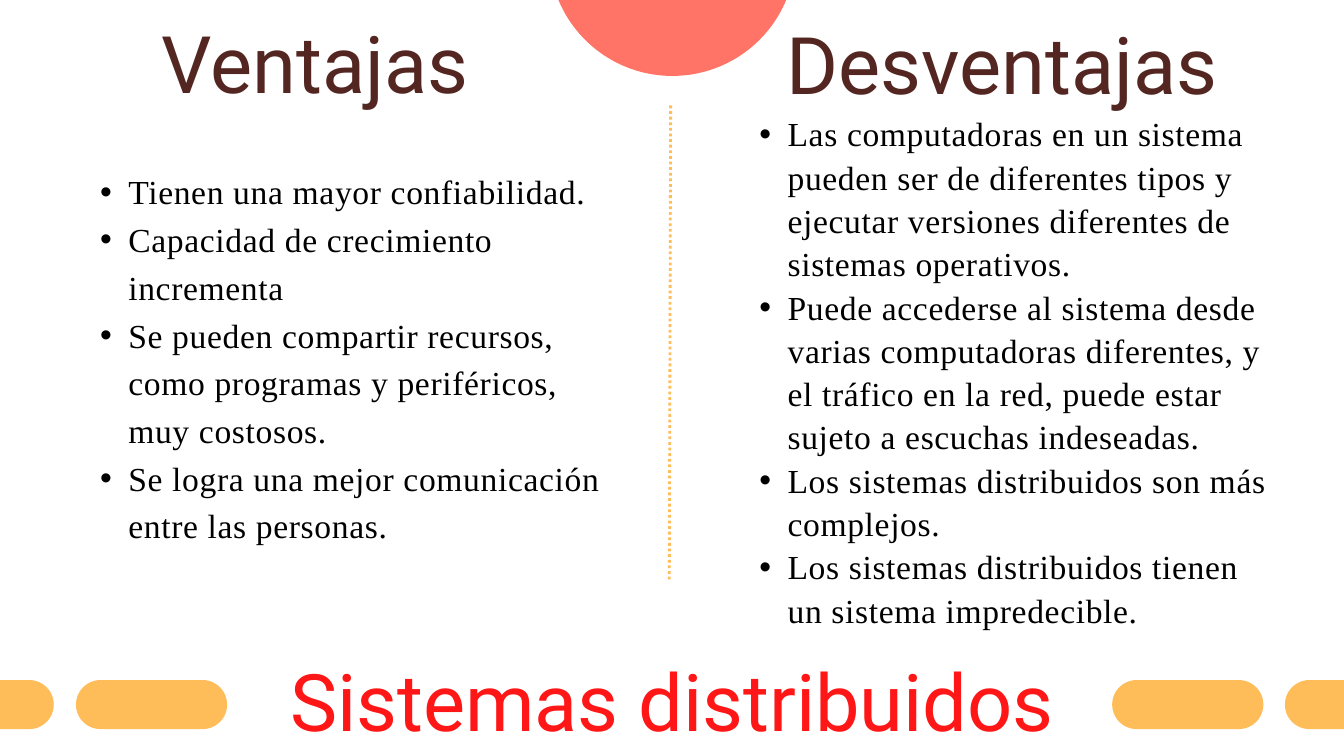
from dataclasses import dataclass

from lxml.etree import SubElement
from pptx import Presentation
from pptx.dml.color import RGBColor
from pptx.enum.dml import MSO_LINE
from pptx.enum.shapes import MSO_CONNECTOR, MSO_SHAPE
from pptx.enum.text import MSO_AUTO_SIZE, PP_ALIGN
from pptx.oxml.ns import qn
from pptx.slide import Slide
from pptx.util import Inches, Pt

COLORS = {
    "background": "FFFFFF",
    "title": "FF1616",
    "heading": "542622",
    "body": "000000",
    "accent": "FFBD59",
    "circle": "FF7466",
}


@dataclass
class Area:
    left: float
    top: float
    width: float
    height: float

    def lengths(self) -> list[Inches]:
        return [Inches(n) for n in (self.left, self.top, self.width, self.height)]


@dataclass
class Column:
    heading: str
    heading_area: Area
    items: list[str]
    items_area: Area
    line_spacing: float


PILL_LEFTS = [1.13, -1.45, 16.55, 19.12]

COLUMNS = [
    Column(
        "Ventajas ",
        Area(1.8, -0.02, 6.07, 1.59),
        [
            "Tienen una mayor confiabilidad.",
            "Capacidad de crecimiento incrementa",
            "Se pueden compartir recursos, como programas y periféricos, muy costosos.",
            "Se logra una mejor comunicación entre las personas.",
        ],
        Area(1.06, 2.44, 8, 5.68),
        51.1,
    ),
    Column(
        "Desventajas ",
        Area(11.09, -0.01, 7.93, 1.58),
        [
            "Las computadoras en un sistema pueden ser de diferentes tipos y "
            "ejecutar versiones diferentes de sistemas operativos.",
            "Puede accederse al sistema desde varias computadoras diferentes, y "
            "el tráfico en la red, puede estar sujeto a escuchas indeseadas.",
            "Los sistemas distribuidos son más complejos.",
            "Los sistemas distribuidos tienen un sistema impredecible.",
        ],
        Area(10.87, 1.64, 8, 7.65),
        46.4,
    ),
]


def color(name: str) -> RGBColor:
    return RGBColor.from_string(COLORS[name])


def add_text(
    page: Slide,
    area: Area,
    lines: list[str],
    *,
    font: str = "Roboto",
    size: float = 85,
    fill: str = "heading",
    line_spacing: float = 119,
    bulleted: bool = False,
) -> None:
    frame = page.shapes.add_textbox(*area.lengths()).text_frame
    frame.word_wrap = True
    frame.auto_size = MSO_AUTO_SIZE.SHAPE_TO_FIT_TEXT
    frame.margin_left = frame.margin_right = Inches(0)
    frame.margin_top = frame.margin_bottom = Inches(0)
    for index, line in enumerate(lines):
        para = frame.add_paragraph() if index else frame.paragraphs[0]
        para.line_spacing = Pt(line_spacing)
        span = para.add_run()
        span.text = line
        span.font.name = font
        span.font.size = Pt(size)
        span.font.color.rgb = color(fill)
        if bulleted:
            para.level = 1
            properties = para._p.get_or_add_pPr()
            properties.set("marL", str(Inches(0.85)))
            properties.set("indent", str(Inches(-0.42)))
            SubElement(properties, qn("a:buFont"), typeface="Arial")
            SubElement(properties, qn("a:buChar"), char="•")
            span.font._element.set("spc", "70")
        else:
            para.alignment = PP_ALIGN.CENTER


def add_solid(page: Slide, kind: MSO_SHAPE, area: Area, fill: str) -> None:
    shape = page.shapes.add_shape(kind, *area.lengths())
    shape.shadow.inherit = False
    shape.fill.solid()
    shape.fill.fore_color.rgb = color(fill)
    shape.line.fill.background()
    if kind == MSO_SHAPE.ROUNDED_RECTANGLE:
        shape.adjustments[0] = 0.5


def add_divider(page: Slide) -> None:
    divider = page.shapes.add_connector(
        MSO_CONNECTOR.STRAIGHT, Inches(9.98), Inches(1.57), Inches(9.96), Inches(8.66)
    )
    divider.line.color.rgb = color("accent")
    divider.line.width = Pt(3)
    divider.line.dash_style = MSO_LINE.ROUND_DOT
    SubElement(divider._element.spPr, qn("a:effectLst"))


def main() -> None:
    deck = Presentation()
    deck.slide_width = Inches(20)
    deck.slide_height = Inches(11.25)
    page = deck.slides.add_slide(deck.slide_layouts[6])
    page.background.fill.solid()
    page.background.fill.fore_color.rgb = color("background")

    add_text(page, Area(3.41, 9.47, 13.18, 1.59), ["Sistemas distribuidos"], fill="title")
    for left in PILL_LEFTS:
        add_solid(page, MSO_SHAPE.ROUNDED_RECTANGLE, Area(left, 10.12, 2.25, 0.73), "accent")
    add_solid(page, MSO_SHAPE.OVAL, Area(8.17, -2.54, 3.67, 3.67), "circle")
    for column in COLUMNS:
        add_text(page, column.heading_area, [column.heading])
    add_divider(page)
    for column in COLUMNS:
        add_text(
            page,
            column.items_area,
            column.items,
            font="Times New Roman",
            size=36,
            fill="body",
            line_spacing=column.line_spacing,
            bulleted=True,
        )
    deck.save("out.pptx")


if __name__ == "__main__":
    main()
